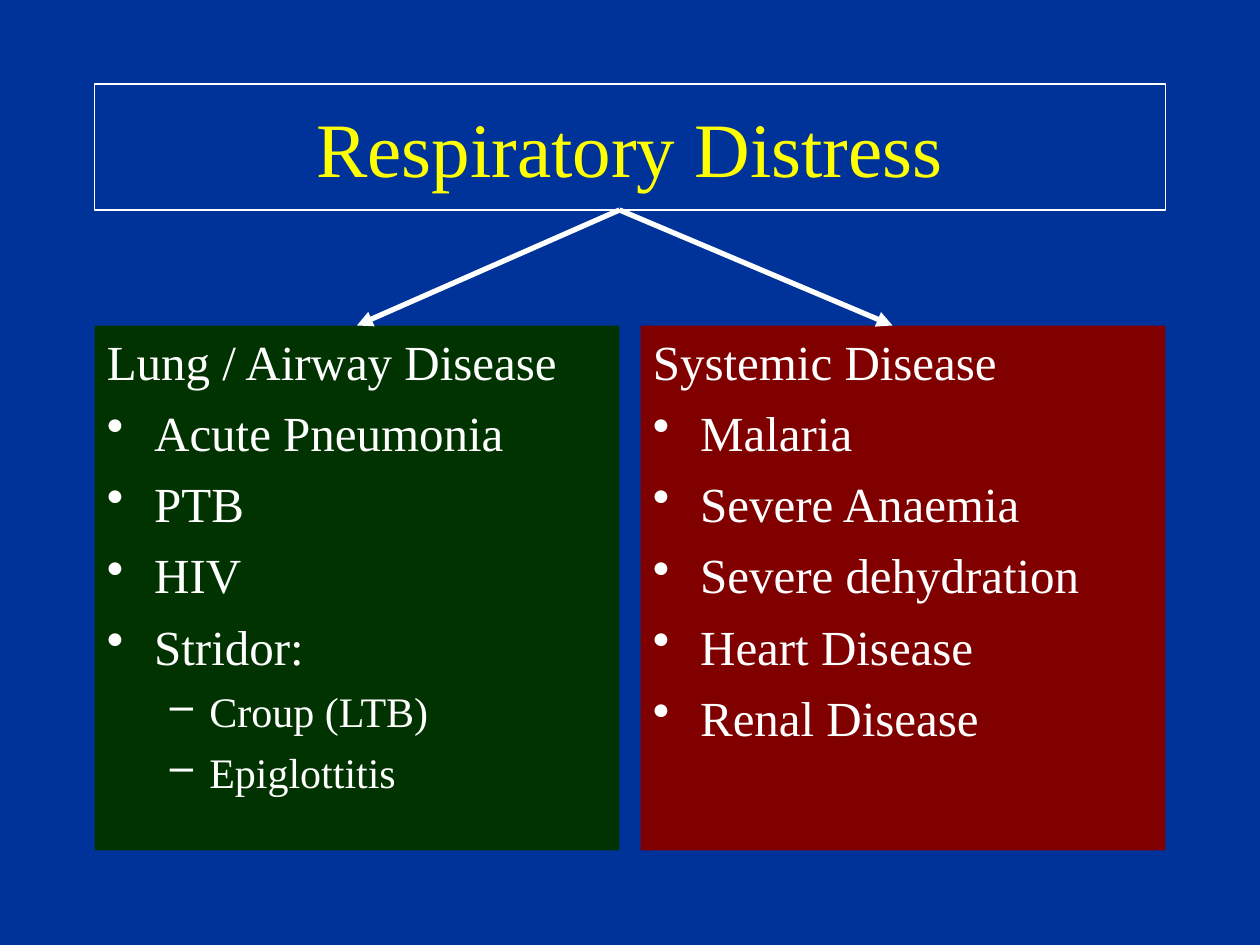
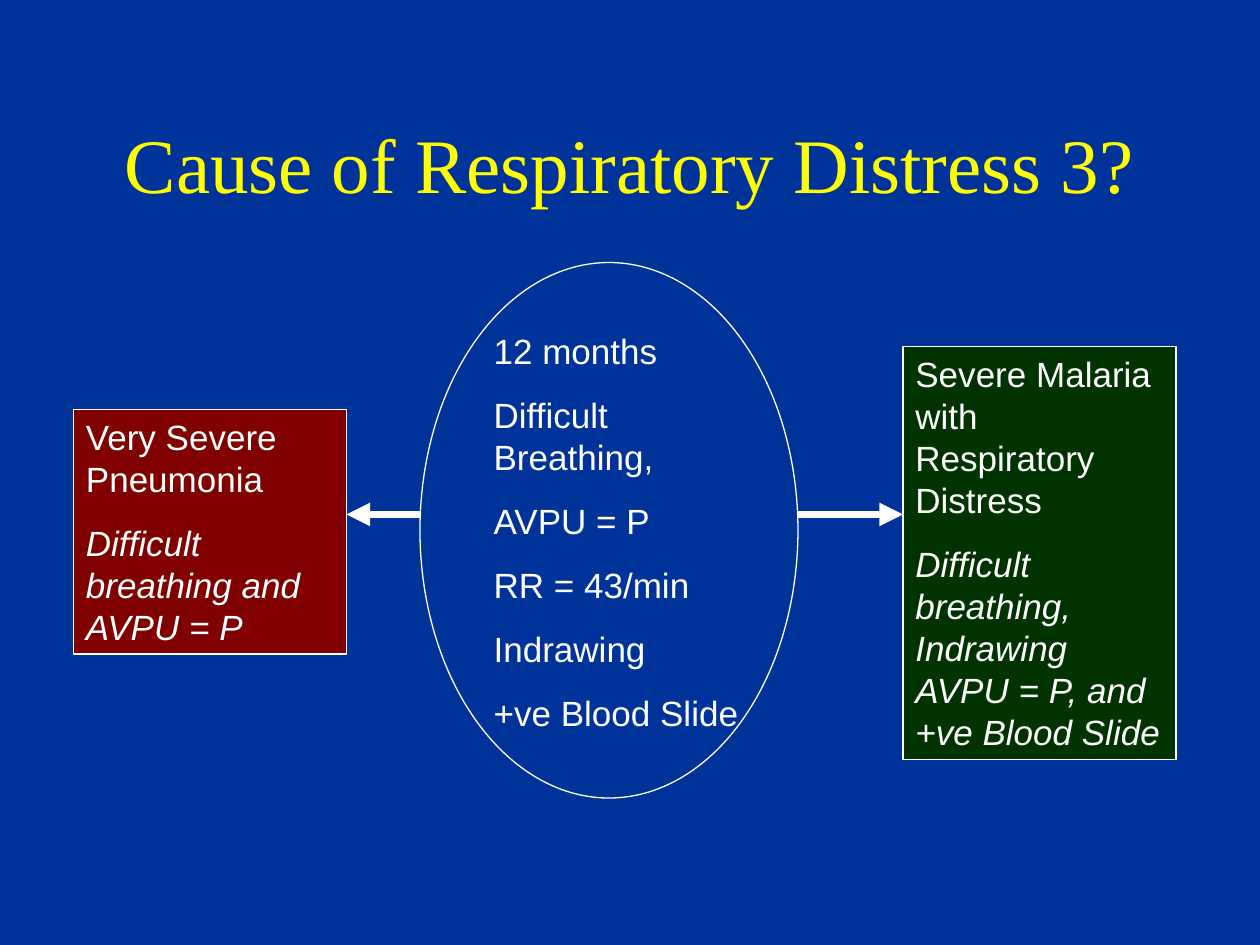
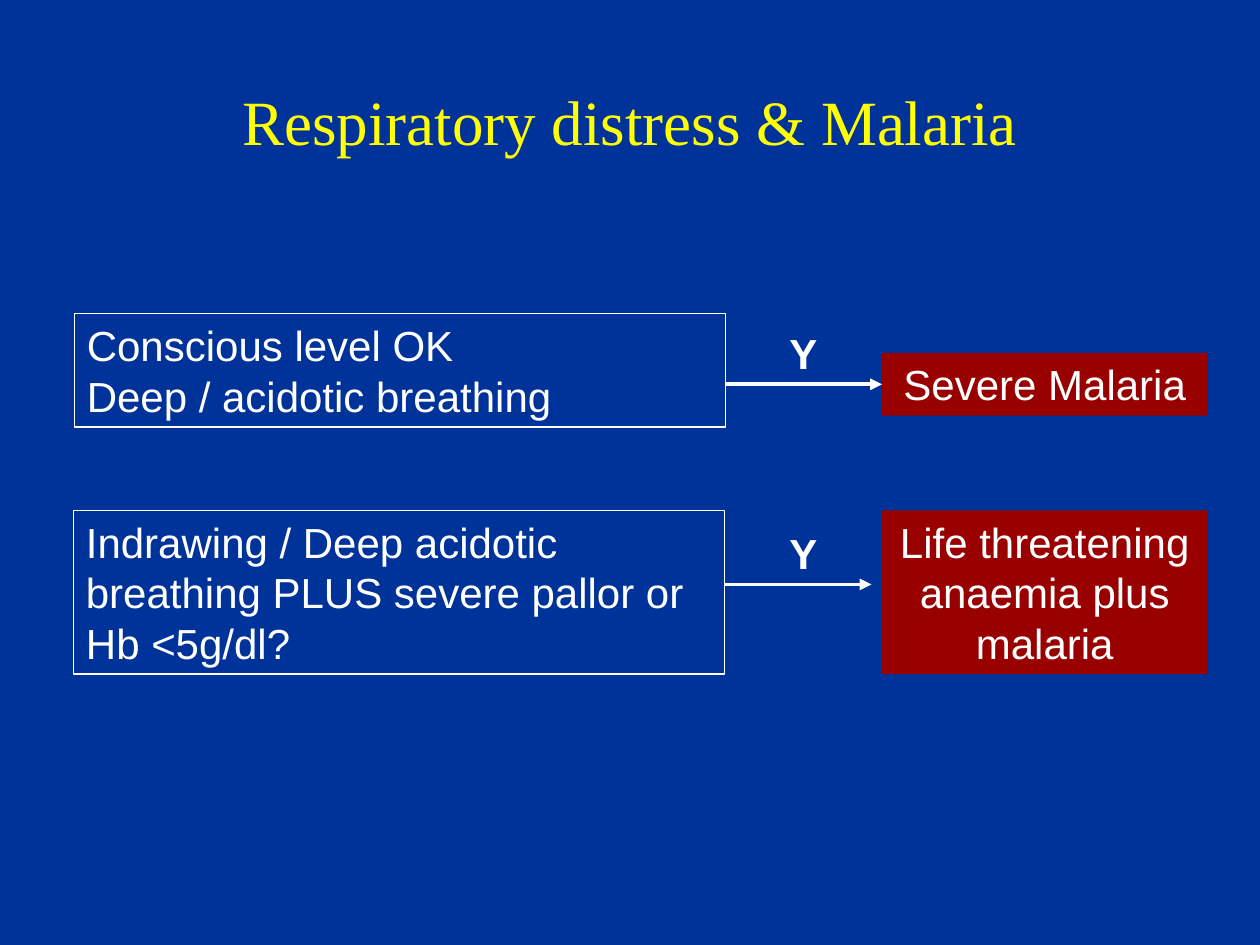
from lxml import etree
from pptx import Presentation
from pptx.dml.color import RGBColor
from pptx.enum import shapes, text
from pptx.oxml import ns
from pptx.util import Pt

COLORS = {
    "background": "003399",
    "title": "FFFF00",
    "text": "FFFFFF",
    "green": "003300",
    "red": "800000",
    "bright_red": "990000",
}
SERIF, SANS = "Times New Roman", "Arial"
LEFT, CENTER = text.PP_ALIGN.LEFT, text.PP_ALIGN.CENTER
BULLETS = {1: ("•", 27, -27), 2: ("–", 58.5, -22.5)}
THIN = 0.75


def color(name):
    return RGBColor.from_string(COLORS[name])


def add_panel(slide, box, paragraphs, size=20, font=SANS, ink="text", fill=None,
              border=0, align=LEFT, gap=0, middle=False, bold=False):
    place = [Pt(length) for length in box]
    if fill or border:
        panel = slide.shapes.add_shape(shapes.MSO_SHAPE.RECTANGLE, *place)
        panel.shadow.inherit = False
    else:
        panel = slide.shapes.add_textbox(*place)
    if fill:
        panel.fill.solid()
        panel.fill.fore_color.rgb = color(fill)
    else:
        panel.fill.background()
    if border:
        panel.line.color.rgb = color("text")
        panel.line.width = Pt(border)
    else:
        panel.line.fill.background()
    frame = panel.text_frame
    frame.word_wrap = True
    frame.vertical_anchor = text.MSO_ANCHOR.MIDDLE if middle else text.MSO_ANCHOR.TOP
    for number, entry in enumerate(paragraphs):
        words, options = entry if isinstance(entry, tuple) else (entry, {})
        paragraph = frame.add_paragraph() if number else frame.paragraphs[0]
        paragraph.text = words
        paragraph.alignment = align
        if number:
            paragraph.space_before = Pt(options.get("gap", gap))
        if "bullet" in options:
            mark, margin, indent = BULLETS[options["bullet"]]
            properties = paragraph._p.get_or_add_pPr()
            properties.set("marL", str(Pt(margin)))
            properties.set("indent", str(Pt(indent)))
            etree.SubElement(properties, ns.qn("a:buChar"), char=mark)
        paragraph.font.size = Pt(options.get("size", size))
        paragraph.font.name = font
        paragraph.font.color.rgb = color(ink)
        paragraph.font.italic = options.get("italic", False)
        paragraph.font.bold = bold
    return panel


def add_arrow(slide, ends, width):
    arrow = slide.shapes.add_connector(
        shapes.MSO_CONNECTOR.STRAIGHT, *[Pt(length) for length in ends])
    arrow.line.color.rgb = color("text")
    arrow.line.width = Pt(width)
    etree.SubElement(arrow.line._get_or_add_ln(), ns.qn("a:tailEnd"), type="triangle")
    etree.SubElement(arrow._element.spPr, ns.qn("a:effectLst"))
    return arrow


deck = Presentation()
deck.slide_width, deck.slide_height = Pt(720), Pt(540)
backdrop = deck.slide_master.background.fill
backdrop.solid()
backdrop.fore_color.rgb = color("background")

titles = [
    ("Respiratory Distress", 48, 72, 44, THIN),
    ("Cause of Respiratory Distress 3?", 48, 90, 44, 0),
    ("Respiratory distress & Malaria", 24, 90, 36, 0),
]
slides = []
for title, top, height, size, border in titles:
    slide = deck.slides.add_slide(deck.slide_layouts[6])
    add_panel(slide, (54, top, 612, height), [title], size, SERIF, "title",
              border=border, align=CENTER, middle=True)
    slides.append(slide)
overview, case, malaria = slides

disease_groups = [
    (54, "green", "Lung / Airway Disease",
     ["Acute Pneumonia", "PTB", "HIV", "Stridor:"], ["Croup (LTB)", "Epiglottitis"]),
    (366, "red", "Systemic Disease",
     ["Malaria", "Severe Anaemia", "Severe dehydration", "Heart Disease", "Renal Disease"], []),
]
group_panels = []
for left, fill, heading, diseases, subtypes in disease_groups:
    lines = [heading]
    lines += [(disease, {"bullet": 1}) for disease in diseases]
    lines += [(subtype, {"bullet": 2, "size": 24, "gap": 6}) for subtype in subtypes]
    group_panels.append(
        add_panel(overview, (left, 186, 300, 300), lines, 28, SERIF, fill=fill, gap=7))
to_lung = add_arrow(overview, (354, 120, 204, 186), 3)
to_lung.end_connect(group_panels[0], 0)
add_arrow(overview, (354, 120, 510, 186), 3)

patient = case.shapes.add_shape(
    shapes.MSO_SHAPE.OVAL, Pt(240), Pt(150), Pt(216), Pt(306))
patient.shadow.inherit = False
patient.fill.background()
patient.line.color.rgb = color("text")
patient.line.width = Pt(THIN)
findings = ["12 months", "Difficult Breathing,", "AVPU = P", "RR = 43/min",
            "Indrawing", "+ve Blood Slide"]
add_panel(case, (275, 185, 156, 238.3), findings, gap=12.5)

diagnoses = [
    ((42, 234, 156, 139.7), "red",
     ["Very Severe Pneumonia",
      ("Difficult breathing and AVPU = P", {"italic": True})],
     (240, 294, 198, 294)),
    ((516, 198, 156, 236), "green",
     ["Severe Malaria with Respiratory Distress",
      ("Difficult breathing,", {"italic": True}),
      ("Indrawing AVPU = P, and +ve Blood Slide", {"italic": True, "gap": 0})],
     (456, 294, 516, 294)),
]
for box, fill, lines, ends in diagnoses:
    add_panel(case, box, lines, fill=fill, border=THIN, gap=12.5)
    add_arrow(case, ends, 4.5)

decisions = [
    ((42.5, 179.3, 372, 64.8), ["Conscious level OK", "Deep / acidotic breathing"],
     (504, 201.6, 186, 36), "Severe Malaria", 183.6, (414, 219.6, 504, 219.6)),
    ((42, 291.6, 372, 93.6),
     ["Indrawing / Deep acidotic breathing PLUS severe pallor or Hb <5g/dl?"],
     (504, 291.6, 186, 93.6), "Life threatening anaemia plus malaria", 298,
     (414, 334, 498, 334)),
]
for signs_box, signs, outcome_box, outcome, yes_top, ends in decisions:
    add_panel(malaria, signs_box, signs, 24, border=THIN)
    outcome_panel = add_panel(malaria, outcome_box, [outcome], 24,
                              fill="bright_red", align=CENTER)
    add_panel(malaria, (444, yes_top, 30, 36), ["Y"], 24, bold=True)
    yes_arrow = add_arrow(malaria, ends, 2.25)
    if ends[2] == outcome_box[0]:
        yes_arrow.end_connect(outcome_panel, 1)

deck.save("out.pptx")
